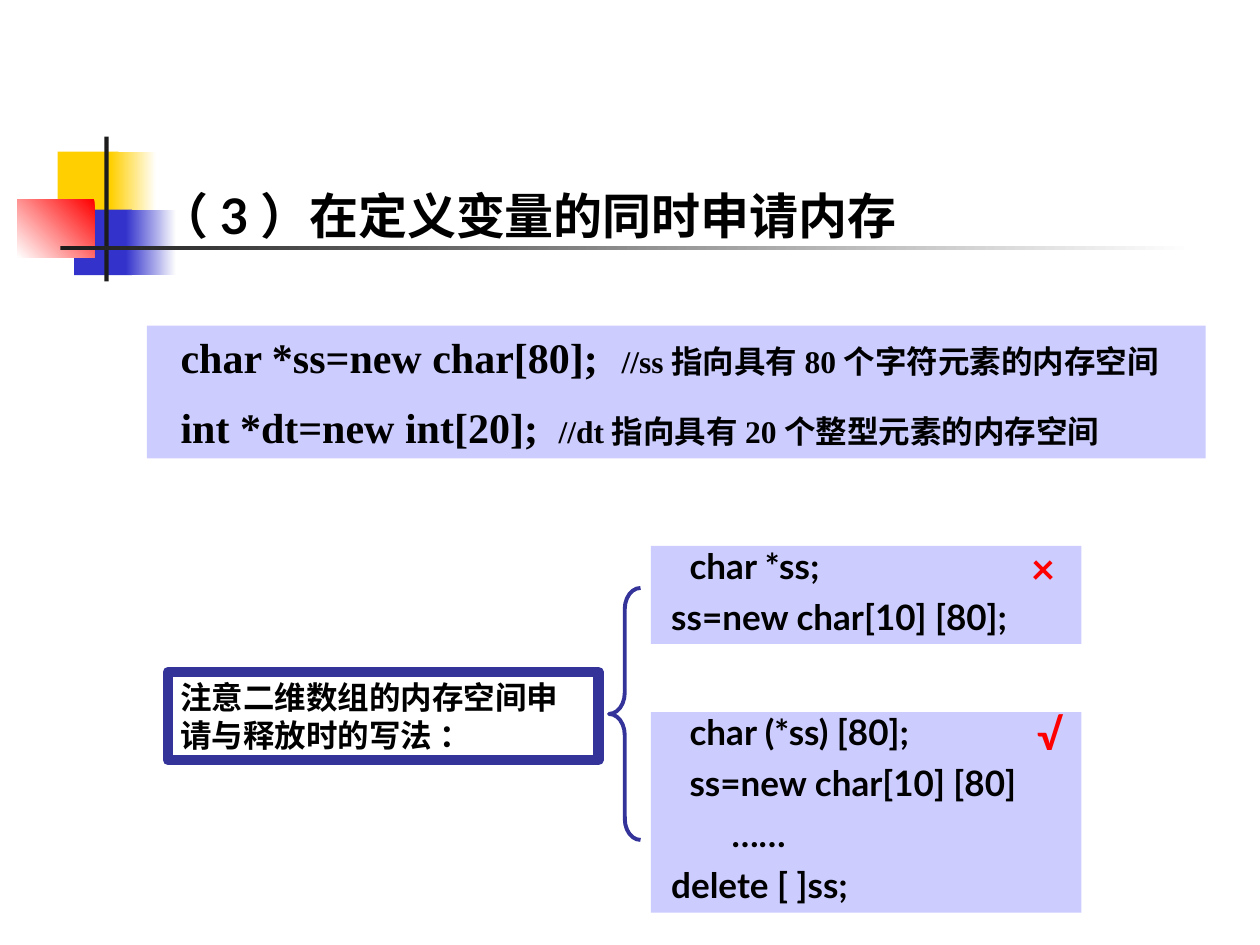
from pptx import Presentation
from pptx.dml.color import RGBColor
from pptx.enum.shapes import MSO_SHAPE
from pptx.enum.text import MSO_ANCHOR, MSO_AUTO_SIZE, PP_ALIGN
from pptx.oxml.ns import qn
from pptx.util import Pt
from lxml.etree import SubElement

HAN, SANS, SERIF = "Noto Sans CJK SC", "Lato", "Times New Roman"
BLACK, WHITE, RED = "000000", "FFFFFF", "FF0000"
PALE, NAVY, BLUE, GOLD, DARK = "CCCCFF", "333399", "3333CC", "FFCF01", "1C1C1C"


def paint(color, code):
    color.rgb = RGBColor.from_string(code)


def shape(slide, x, y, w, h, fill=None, kind=MSO_SHAPE.RECTANGLE,
          line=None, width=0, fade=None):
    """Add a shape; fade is the angle of a gradient from fill to white."""
    item = slide.shapes.add_shape(kind, Pt(x), Pt(y), Pt(w), Pt(h))
    item.shadow.inherit = False
    if fade is not None:
        item.fill.gradient()
        item.fill.gradient_angle = fade
        for stop, code in zip(item.fill.gradient_stops, (fill, WHITE)):
            paint(stop.color, code)
    elif fill:
        item.fill.solid()
        paint(item.fill.fore_color, fill)
    else:
        item.fill.background()
    if line:
        paint(item.line.color, line)
        item.line.width = Pt(width)
    else:
        item.line.fill.background()
    return item


def setup(item, anchor=MSO_ANCHOR.TOP, wrap=True):
    frame = item.text_frame
    frame.word_wrap = wrap
    frame.auto_size = MSO_AUTO_SIZE.NONE
    frame.vertical_anchor = anchor
    frame.margin_left = frame.margin_right = Pt(7.2)
    frame.margin_top = frame.margin_bottom = Pt(3.6)
    return frame


def write(frame, row, runs, size, color=BLACK, before=0, space=None,
          align=PP_ALIGN.LEFT, indent=0, tab=None):
    """Fill paragraph number row with (text, font[, size]) runs."""
    para = frame.paragraphs[0] if row == 0 else frame.add_paragraph()
    para.alignment = align
    para.space_before = Pt(before)
    if space:
        para.line_spacing = space
    para.font.size, para.font.bold = Pt(size), True
    paint(para.font.color, color)
    props = para._p.get_or_add_pPr()
    props.set("marL", str(Pt(indent)))
    props.set("indent", "0")
    if tab:
        tabs = SubElement(props, qn("a:tabLst"))
        SubElement(tabs, qn("a:tab"), pos=str(Pt(tab)), algn="l")
        props.find(qn("a:defRPr")).addprevious(tabs)
    for text, face, *own in runs:
        run = para.add_run()
        run.text = text
        run.font.name = face
        if own:
            run.font.size = Pt(own[0])
        SubElement(run._r.get_or_add_rPr(), qn("a:ea"), typeface=HAN)


def emblem(slide, x, y):
    """Coloured blocks and crossing bars beside the title."""
    shape(slide, x + 23, y + 8.6, 34.6, 37.4, GOLD)
    shape(slide, x + 53.3, y + 8.6, 26, 37.4, GOLD, fade=0)
    shape(slide, x + 32.4, y + 41.8, 33, 37.4, BLUE)
    shape(slide, x + 62, y + 41.8, 28.8, 37.4, BLUE, fade=0)
    shape(slide, x, y + 36, 44, 33.1, RED, fade=225)
    shape(slide, x + 49.7, y, 2.4, 82.8, DARK)
    shape(slide, x + 24.5, y + 62.4, 648, 2.4, DARK, fade=0)


def heading(slide, x, y, w, h):
    title = slide.shapes.title
    title.left, title.top, title.width, title.height = map(Pt, (x, y, w, h))
    frame = setup(title, MSO_ANCHOR.BOTTOM)
    write(frame, 0, [("（", HAN), ("3", SANS),
                     ("）在定义变量的同时申请内存", HAN)], 28)


def sample(slide, x, y, w, h):
    """Two allocations, each with a remark at its own tab stop."""
    frame = setup(shape(slide, x, y, w, h, PALE))
    frame.margin_left = Pt(19.2)
    rows = [("char *ss=new char[80];", 250, "ss", "80", "个字符"),
            ("int *dt=new int[20];", 234, "dt", "20", "个整型")]
    for row, (code, tab, name, count, unit) in enumerate(rows):
        runs = [(code + "\t", SERIF, 24), ("//" + name, SERIF),
                ("指向具有", HAN), (count, SERIF),
                (unit + "元素的内存空间", HAN)]
        write(frame, row, runs, 18, before=11.2, tab=tab)


def note(slide, x, y, w, h):
    frame = setup(shape(slide, x, y, w, h, line=NAVY, width=6))
    write(frame, 0, [("注意二维数组的内存空间申请与释放时的写法", HAN),
                     (" ：", SANS)], 18, before=11.2)


def brace(slide, x, y, w, h):
    item = shape(slide, x, y, w, h, kind=MSO_SHAPE.LEFT_BRACE,
                 line=NAVY, width=2.25)
    item.adjustments[0] = 0.67


def case(slide, x, y, w, h, lines, mark, shift):
    """Code box with a verdict mark in its top right corner."""
    frame = setup(shape(slide, x, y, w, h, PALE))
    for row, (code, indent) in enumerate(lines):
        write(frame, row, [(code, SANS)], 20, before=10, space=0.8,
              align=PP_ALIGN.JUSTIFY, indent=indent)
    box = slide.shapes.add_textbox(Pt(x + shift), Pt(y - 5.5), Pt(40), Pt(36))
    write(setup(box), 0, [(mark, SANS)], 24, RED, before=15)


deck = Presentation()
deck.slide_width, deck.slide_height = Pt(720), Pt(540)
page = deck.slides.add_slide(deck.slide_layouts[5])

emblem(page, 10, 78)
heading(page, 84, 102, 437, 41)
sample(page, 84, 186, 605, 76)
case(page, 372, 312, 246, 56,
     [("char *ss;", 15), ("ss=new char[10] [80];", 4.5)], "×", 210)
case(page, 372, 407, 246, 114.5,
     [("char (*ss) [80];", 15), ("ss=new char[10] [80]", 15),
      ("……", 39), ("delete [ ]ss;", 4.5)], "√", 213.5)
note(page, 96, 384, 246, 50.4)
brace(page, 348, 336, 18, 144)

deck.save("out.pptx")
